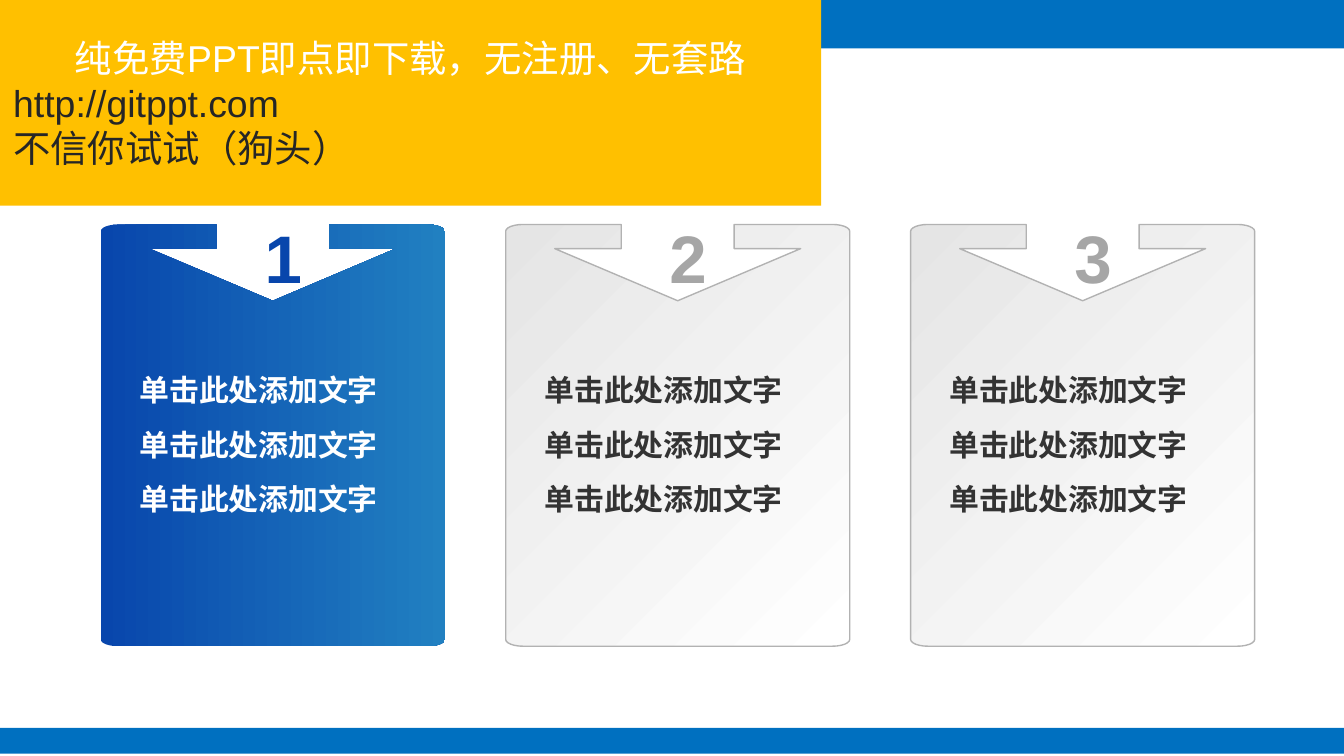
"""Build a slide of three numbered cards below a yellow banner."""
import dataclasses
import math

import pptx
import pptx.dml.color
import pptx.enum.shapes
import pptx.enum.text
import pptx.util

SLIDE_WIDTH = pptx.util.Inches(10)
SLIDE_HEIGHT = SLIDE_WIDTH * 9 // 16
COLUMN = SLIDE_WIDTH / 100
ROW = SLIDE_HEIGHT / 100

CARD_LEFT, CARD_TOP, CARD_PITCH = 7.5, 29.7, 30.13
CARD_WIDTH, CARD_HEIGHT = 25.6, 55.8
CARD_LINES = ["单击此处添加文字"] * 3
BANNER_LINES = [
    "纯免费PPT即点即下载，无注册、无套路",
    "http://gitppt.com",
    "不信你试试（狗头）",
]


@dataclasses.dataclass(frozen=True)
class CardStyle:
    """Colours of one card."""
    stops: tuple
    angle: int
    outline: str
    number: str
    body: str


@dataclasses.dataclass(frozen=True)
class Theme:
    """Colours, font and type sizes of the slide."""
    font: str = "Arial"
    bar: str = "0070C0"
    banner: str = "FFC000"
    banner_title: str = "FFFFFF"
    banner_text: str = "262626"
    number_size: int = 36
    body_size: int = 16
    banner_size: int = 20
    active: CardStyle = CardStyle(("0846AC", "2180C1"), 0, "", "0846AC", "FFFFFF")
    muted: CardStyle = CardStyle(("FFFFFF", "E5E5E5"), 135, "B2B2B2", "A6A6A6", "333333")


THEME = Theme()


def rgb(value):
    """Return a colour from its hex form."""
    return pptx.dml.color.RGBColor.from_string(value)


def place(left, top, width, height):
    """Turn grid columns and rows into slide lengths."""
    return [round(length) for length in
            (left * COLUMN, top * ROW, width * COLUMN, height * ROW)]


def style_paragraph(paragraph, size, colour, bold=False):
    """Format every run of a paragraph."""
    for run in paragraph.runs:
        run.font.name = THEME.font
        run.font.size = pptx.util.Pt(size)
        run.font.bold = bold
        run.font.color.rgb = rgb(colour)


def add_block(slide, top, width, height, colour):
    """Add a plain rectangle that starts at the left edge."""
    block = slide.shapes.add_shape(
        pptx.enum.shapes.MSO_SHAPE.RECTANGLE, *place(0, top, width, height))
    block.shadow.inherit = False
    block.fill.solid()
    block.fill.fore_color.rgb = rgb(colour)
    block.line.fill.background()
    return block


def add_banner(slide):
    """Add the yellow banner with its three lines."""
    banner = add_block(slide, 0, 61.1, 27.2, THEME.banner)
    frame = banner.text_frame
    frame.text = "\n".join(BANNER_LINES)
    frame.word_wrap = True
    frame.vertical_anchor = pptx.enum.text.MSO_ANCHOR.MIDDLE
    for index, paragraph in enumerate(frame.paragraphs):
        is_title = index == 0
        paragraph.alignment = (pptx.enum.text.PP_ALIGN.CENTER if is_title
                               else pptx.enum.text.PP_ALIGN.LEFT)
        style_paragraph(paragraph, THEME.banner_size,
                        THEME.banner_title if is_title else THEME.banner_text)


def corner(center_x, center_y, start):
    """Return the points of a rounded corner, clockwise from a start angle."""
    angles = [math.radians(start + 15 * step) for step in range(7)]
    return [(center_x + 1.3 * math.cos(angle), center_y + 0.9 * math.sin(angle))
            for angle in angles]


def card_outline(left):
    """Return the outline of a card with an arrow cut into its top."""
    middle, right = left + CARD_WIDTH / 2, left + CARD_WIDTH
    bottom, shoulder = CARD_TOP + CARD_HEIGHT, CARD_TOP + 3.2
    arrow = [(middle - 4.2, CARD_TOP), (middle - 4.2, shoulder),
             (middle - 9.15, shoulder), (middle, CARD_TOP + 10.1),
             (middle + 9.15, shoulder), (middle + 4.2, shoulder),
             (middle + 4.2, CARD_TOP)]
    return (corner(left + 1.3, CARD_TOP + 0.9, 180) + arrow
            + corner(right - 1.3, CARD_TOP + 0.9, 270)
            + corner(right - 1.3, bottom - 0.9, 0)
            + corner(left + 1.3, bottom - 0.9, 90))


def add_card(slide, left, style):
    """Add the gradient body of a card."""
    points = [(x * COLUMN, y * ROW) for x, y in card_outline(left)]
    builder = slide.shapes.build_freeform(*points[0])
    builder.add_line_segments(points[1:], close=True)
    card = builder.convert_to_shape()
    card.shadow.inherit = False
    card.fill.gradient()
    card.fill.gradient_angle = style.angle
    for stop, colour, position in zip(card.fill.gradient_stops, style.stops, (0, 1)):
        stop.color.rgb = rgb(colour)
        stop.position = position
    if style.outline:
        card.line.color.rgb = rgb(style.outline)
        card.line.width = pptx.util.Pt(0.75)
    else:
        card.line.fill.background()


def add_number(slide, left, number, colour):
    """Add the number inside the arrow of a card."""
    label = slide.shapes.add_textbox(*place(left + 11.2, 27.7, 3.3, 6.2))
    label.text_frame.text = str(number)
    label.text_frame.word_wrap = False
    style_paragraph(label.text_frame.paragraphs[0], THEME.number_size, colour, True)


def add_body(slide, left, colour):
    """Add the lines of text on a card."""
    body = slide.shapes.add_textbox(*place(left + 1.9, 48.3, 21.8, 21))
    frame = body.text_frame
    frame.text = "\n".join(CARD_LINES)
    frame.word_wrap = True
    frame.auto_size = pptx.enum.text.MSO_AUTO_SIZE.SHAPE_TO_FIT_TEXT
    frame.vertical_anchor = pptx.enum.text.MSO_ANCHOR.MIDDLE
    for index, paragraph in enumerate(frame.paragraphs):
        paragraph.space_before = pptx.util.Pt(10 if index else 0)
        style_paragraph(paragraph, THEME.body_size, colour, True)


def main():
    """Build and save the slide."""
    deck = pptx.Presentation()
    deck.slide_width, deck.slide_height = SLIDE_WIDTH, SLIDE_HEIGHT
    slide = deck.slides.add_slide(deck.slide_layouts[6])
    add_block(slide, 96.3, 100, 3.4, THEME.bar)
    add_block(slide, 0, 100, 6.4, THEME.bar)
    for index, style in enumerate((THEME.active, THEME.muted, THEME.muted)):
        left = CARD_LEFT + index * CARD_PITCH
        add_card(slide, left, style)
        add_number(slide, left, index + 1, style.number)
        add_body(slide, left, style.body)
    add_banner(slide)
    deck.save("out.pptx")


if __name__ == "__main__":
    main()
